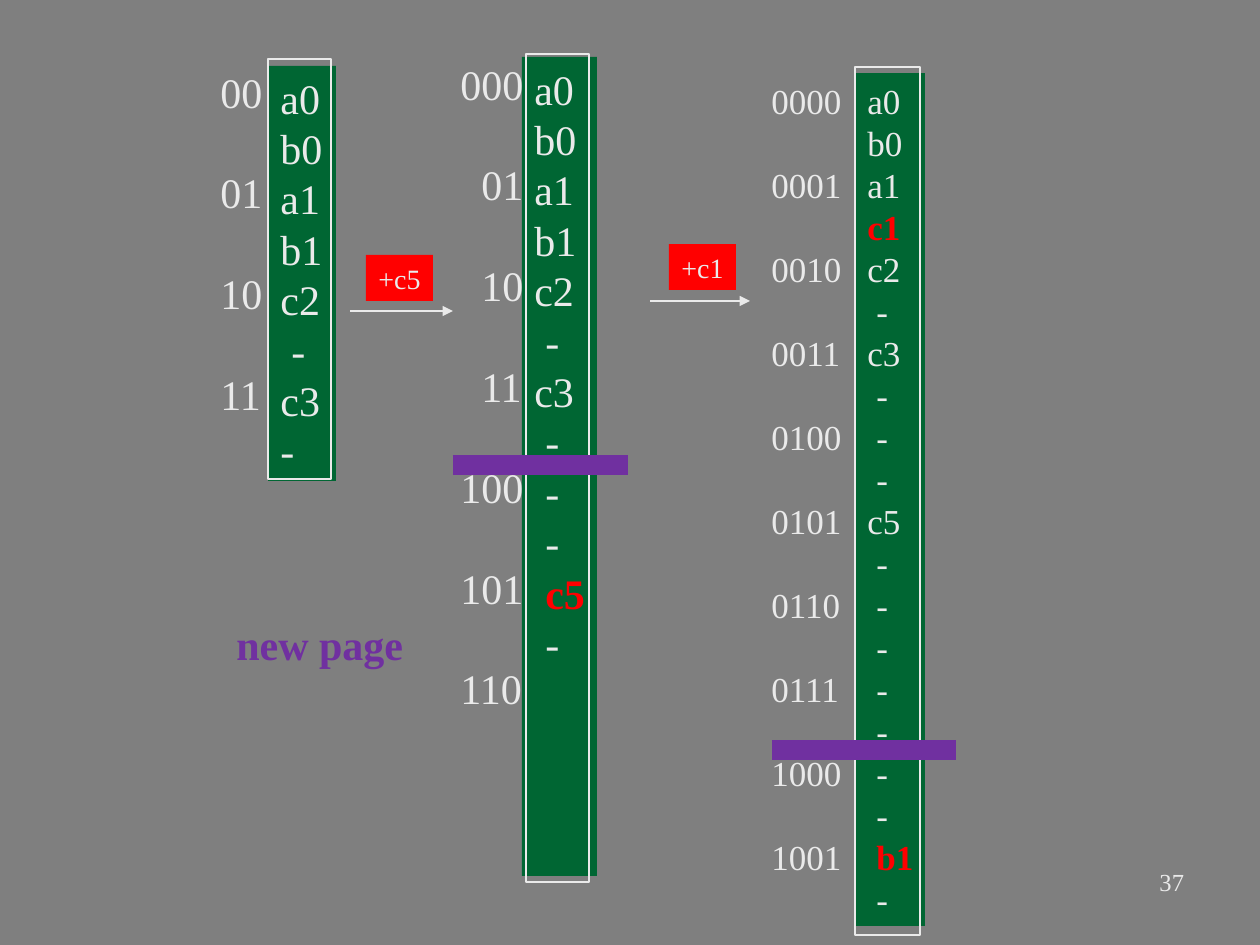
from dataclasses import dataclass
from typing import NamedTuple

from lxml.etree import SubElement
from pptx import Presentation
from pptx.dml.color import RGBColor
from pptx.enum.shapes import MSO_CONNECTOR, MSO_SHAPE
from pptx.enum.text import MSO_ANCHOR, PP_ALIGN
from pptx.oxml.ns import qn
from pptx.util import Pt

EMU_PER_PX = 914400 / 126
FONT = "Times New Roman"
LEADING = 1.2
COLORS = {
    "background": "7F7F7F",
    "text": "EAEAEA",
    "bucket": "006633",
    "new": "FF0000",
    "page": "7030A0",
}


class Box(NamedTuple):
    left: int
    top: int
    width: int
    height: int


class Entry(NamedTuple):
    text: str
    indent: int = 0
    color: str = "text"
    bold: bool = False


@dataclass
class HashTable:
    fill: Box
    frame: Box
    address_box: Box
    size: int
    entries: list[Entry]
    addresses: list[Entry]


@dataclass
class Insertion:
    label: str
    badge: Box
    start: int
    end: int
    y: int


def plain(words: str) -> list[Entry]:
    return [Entry(word) for word in words.split()]


def empty(count: int, indent: int) -> list[Entry]:
    """Free slots of a bucket."""
    return [Entry("-", indent)] * count


def added(text: str, indent: int = 0) -> Entry:
    return Entry(text, indent, "new", True)


TABLES = [
    HashTable(
        Box(268, 66, 68, 415), Box(268, 59, 63, 420), Box(208, 60, 78, 365), 24,
        plain("a0 b0 a1 b1 c2") + empty(1, 11) + plain("c3 -"),
        plain("00 01 10 11"),
    ),
    HashTable(
        Box(522, 57, 75, 819), Box(526, 54, 63, 828), Box(448, 52, 87, 819), 24,
        plain("a0 b0 a1 b1 c2") + empty(1, 11) + plain("c3") + empty(3, 11)
        + [added("c5", 11)] + empty(1, 11),
        plain("000") + [Entry(a, 21) for a in ("01", "10", "11")] + plain("100 101 110"),
    ),
    HashTable(
        Box(855, 73, 70, 853), Box(855, 67, 65, 868), Box(759, 73, 96, 850), 20,
        plain("a0 b0 a1") + [added("c1")] + plain("c2") + empty(1, 9) + plain("c3")
        + empty(3, 9) + plain("c5") + empty(7, 9) + [added("b1", 9)] + empty(1, 9),
        plain("0000 0001 0010 0011 0100 0101 0110 0111 1000 1001"),
    ),
]
INSERTIONS = [
    Insertion("+c5", Box(366, 255, 67, 46), 350, 453, 311),
    Insertion("+c1", Box(669, 244, 67, 46), 650, 750, 301),
]


def px(value: int) -> int:
    return round(value * EMU_PER_PX)


def rgb(name: str) -> RGBColor:
    return RGBColor.from_string(COLORS[name])


def write(sp, entries: list[Entry], size: int, align=PP_ALIGN.LEFT, skip: int = 0) -> None:
    """Write one paragraph per entry, leaving skip lines free after each."""
    tf = sp.text_frame
    tf.word_wrap = True
    tf.vertical_anchor = MSO_ANCHOR.TOP
    tf.margin_right = 0
    for i, entry in enumerate(entries):
        p = tf.paragraphs[0] if i == 0 else tf.add_paragraph()
        p.text = entry.text
        p.alignment = align
        p.line_spacing = Pt(size * LEADING)
        p.space_after = Pt(size * LEADING * skip)
        if entry.indent:
            p._p.get_or_add_pPr().set("marL", str(px(entry.indent)))
        font = p.runs[0].font
        font.name, font.size, font.bold = FONT, Pt(size), entry.bold
        font.color.rgb = rgb(entry.color)


def add_rect(slide, box: Box, fill: str | None = None, line: str | None = None):
    sp = slide.shapes.add_shape(MSO_SHAPE.RECTANGLE, *map(px, box))
    sp.shadow.inherit = False
    if fill:
        sp.fill.solid()
        sp.fill.fore_color.rgb = rgb(fill)
    else:
        sp.fill.background()
    if line:
        sp.line.color.rgb = rgb(line)
        sp.line.width = Pt(0.75)
    else:
        sp.line.fill.background()
    return sp


def add_text(slide, box: Box, *args, **kwargs):
    sp = slide.shapes.add_textbox(*map(px, box))
    write(sp, *args, **kwargs)
    return sp


def add_line(slide, start: int, end: int, y: int, color: str, width: float, arrow=False) -> None:
    line = slide.shapes.add_connector(MSO_CONNECTOR.STRAIGHT, px(start), px(y), px(end), px(y))
    line.line.color.rgb = rgb(color)
    line.line.width = Pt(width)
    if arrow:
        SubElement(line.line._get_or_add_ln(), qn("a:tailEnd"), type="triangle")
    SubElement(line._element.spPr, qn("a:effectLst"))


def add_table_column(slide, table: HashTable) -> None:
    write(add_rect(slide, table.fill, fill="bucket"), table.entries, table.size)
    add_rect(slide, table.frame, line="text")
    add_text(slide, table.address_box, table.addresses, table.size, skip=1)


def add_insertion(slide, step: Insertion) -> None:
    add_line(slide, step.start, step.end, step.y, "text", 0.75, arrow=True)
    sp = add_rect(slide, step.badge, fill="new")
    write(sp, [Entry(step.label)], 16, PP_ALIGN.CENTER)
    sp.text_frame.margin_left = 0
    sp.text_frame.vertical_anchor = MSO_ANCHOR.MIDDLE


def main() -> None:
    prs = Presentation()
    prs.slide_width, prs.slide_height = px(1260), px(945)
    slide = prs.slides.add_slide(prs.slide_layouts[6])
    slide.background.fill.solid()
    slide.background.fill.fore_color.rgb = rgb("background")

    add_text(slide, Box(903, 861, 281, 66), [Entry("37")], 14, PP_ALIGN.RIGHT)
    for table in TABLES:
        add_table_column(slide, table)
    add_text(slide, Box(224, 612, 192, 63), [Entry("new page", 0, "page", True)], 24)
    for step in INSERTIONS:
        add_insertion(slide, step)
    add_line(slide, 453, 628, 465, "page", 11.5)
    add_line(slide, 772, 956, 750, "page", 11.5)
    prs.save("out.pptx")


if __name__ == "__main__":
    main()
